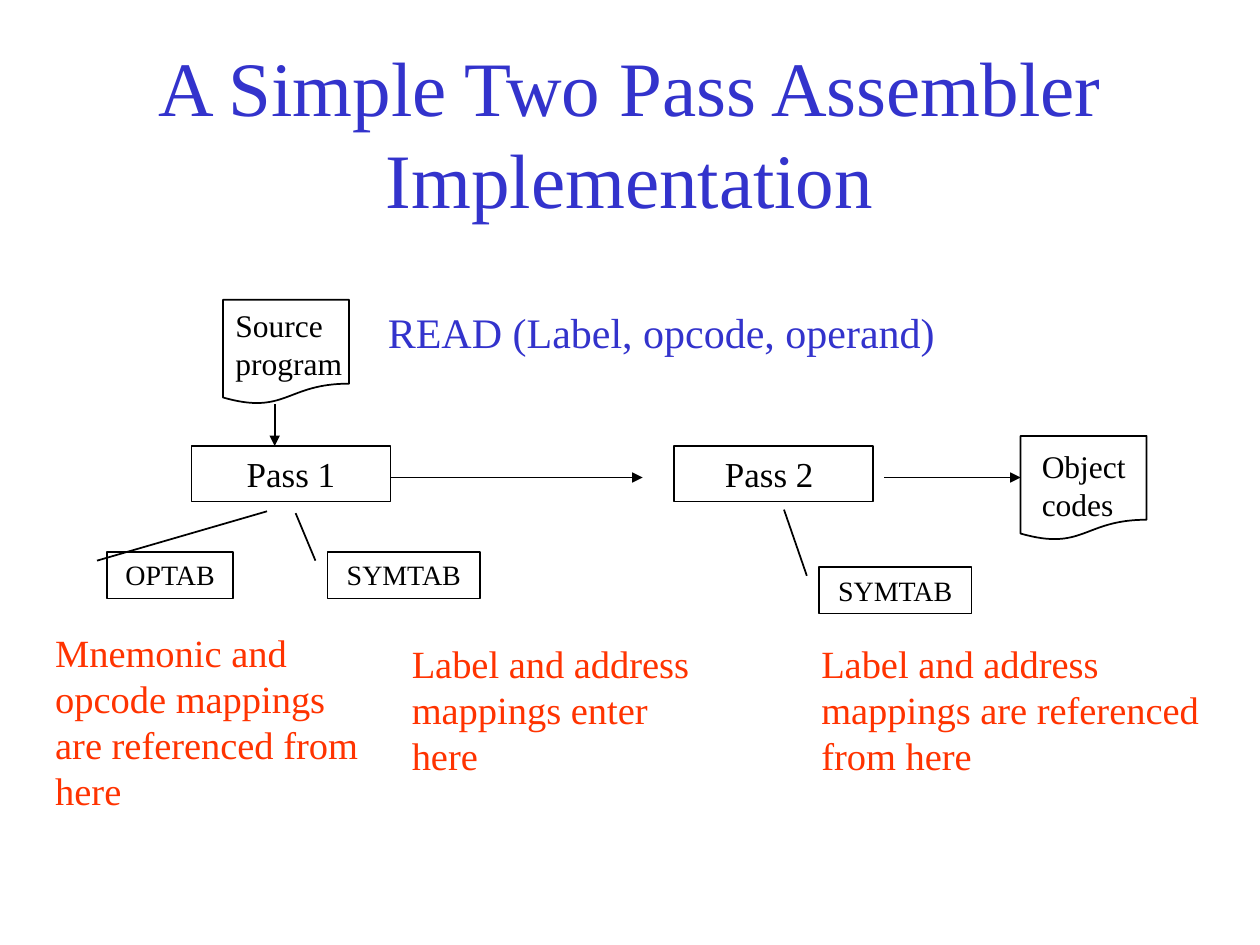
import pptx
import pptx.util
import pptx.dml.color
import pptx.enum.shapes
import pptx.enum.text
import pptx.oxml.ns
import lxml.etree

Inches = pptx.util.Inches
Kind = pptx.enum.shapes.MSO_SHAPE
Align = pptx.enum.text.PP_ALIGN
Fit = pptx.enum.text.MSO_AUTO_SIZE
Anchor = pptx.enum.text.MSO_ANCHOR
qn = pptx.oxml.ns.qn
colors = {"blue": "3333CC", "red": "FF3300", "black": "000000"}


def write(shape, text, size, color, align, frame):
    body = shape.text_frame
    body.text = text
    for name, value in frame.items():
        setattr(body, name, value)
    form = {"size": pptx.util.Pt(size), "name": "Times New Roman"}
    for para in body.paragraphs:
        para.alignment = align
        for name, value in form.items():
            setattr(para.font, name, value)
        para.font.color.rgb = pptx.dml.color.RGBColor.from_string(colors[color])


def outline(kind, left, top, width, height):
    shape = slide.shapes.add_shape(
        kind, Inches(left), Inches(top), Inches(width), Inches(height))
    shape.shadow.inherit = False
    shape.fill.background()
    shape.line.width = pptx.util.Pt(1)
    shape.line.color.rgb = pptx.dml.color.RGBColor.from_string(colors["black"])
    return shape


deck = pptx.Presentation()
deck.slide_width, deck.slide_height = Inches(10), Inches(7.5)
slide = deck.slides.add_slide(deck.slide_layouts[5])

title = slide.shapes.title
place = {"left": 0.75, "top": 0.42, "width": 8.5, "height": 1.25}
for name, value in place.items():
    setattr(title, name, Inches(value))
write(title, "A Simple Two Pass Assembler Implementation", 44, "blue", Align.CENTER,
      {"word_wrap": True, "auto_size": Fit.NONE, "vertical_anchor": Anchor.MIDDLE})

boxed = {"word_wrap": True, "auto_size": Fit.SHAPE_TO_FIT_TEXT,
         "vertical_anchor": Anchor.TOP}
loose = {"word_wrap": False, "auto_size": Fit.SHAPE_TO_FIT_TEXT,
         "vertical_anchor": Anchor.TOP}

for text, left in [("Pass 1", 1.52), ("Pass 2 ", 5.35)]:
    box = outline(Kind.RECTANGLE, left, 3.54, 1.58, 0.44)
    write(box, text, 20, "black", Align.CENTER, boxed)

arrows = [(3.1, 3.79, 5.1, 3.79), (7.02, 3.79, 8.1, 3.79), (2.18, 3.21, 2.18, 3.54)]
for ends in arrows:
    arrow = slide.shapes.add_connector(
        pptx.enum.shapes.MSO_CONNECTOR.STRAIGHT, *map(Inches, ends))
    arrow.line.width = pptx.util.Pt(1)
    arrow.line.color.rgb = pptx.dml.color.RGBColor.from_string(colors["black"])
    line = arrow.line._get_or_add_ln()
    lxml.etree.SubElement(line, qn("a:tailEnd"), type="triangle")
    lxml.etree.SubElement(arrow._element.spPr, qn("a:effectLst"))

labels = [
    ("Object\ncodes", 18, "black", 8.17, 3.5, 0.96, 0.7),
    ("Source\nprogram", 18, "black", 1.77, 2.38, 1.08, 0.7),
    ("Label and address\nmappings enter\nhere", 22, "red", 3.17, 5.03, 2.44, 1.2),
    ("Label and address\nmappings are referenced\nfrom here", 22, "red",
     6.42, 5.03, 3.23, 1.2),
    ("Mnemonic and\nopcode mappings\nare referenced from\nhere", 22, "red",
     0.34, 4.94, 2.64, 1.57),
    ("READ (Label, opcode, operand)", 24, "blue", 2.98, 2.38, 4.58, 0.5),
]
for text, size, color, *area in labels:
    label = slide.shapes.add_textbox(*map(Inches, area))
    write(label, text, size, color, Align.LEFT, loose)

for left, top in [(1.77, 2.38), (8.1, 3.46)]:
    outline(Kind.FLOWCHART_DOCUMENT, left, top, 1, 0.83)

tables = [
    ("OPTAB", 0.85, 4.38, 1, -0.87, 1.27),
    ("SYMTAB", 2.6, 4.38, 1.21, -0.83, -0.21),
    ("SYMTAB", 6.5, 4.5, 1.21, -1.23, -0.23),
]
for text, left, top, width, rise, run in tables:
    table = outline(Kind.LINE_CALLOUT_1, left, top, width, 0.37)
    for index, value in enumerate([0.19, -0.08, rise, run]):
        table.adjustments[index] = value
    write(table, text, 16, "black", Align.CENTER, boxed)

deck.save("out.pptx")
